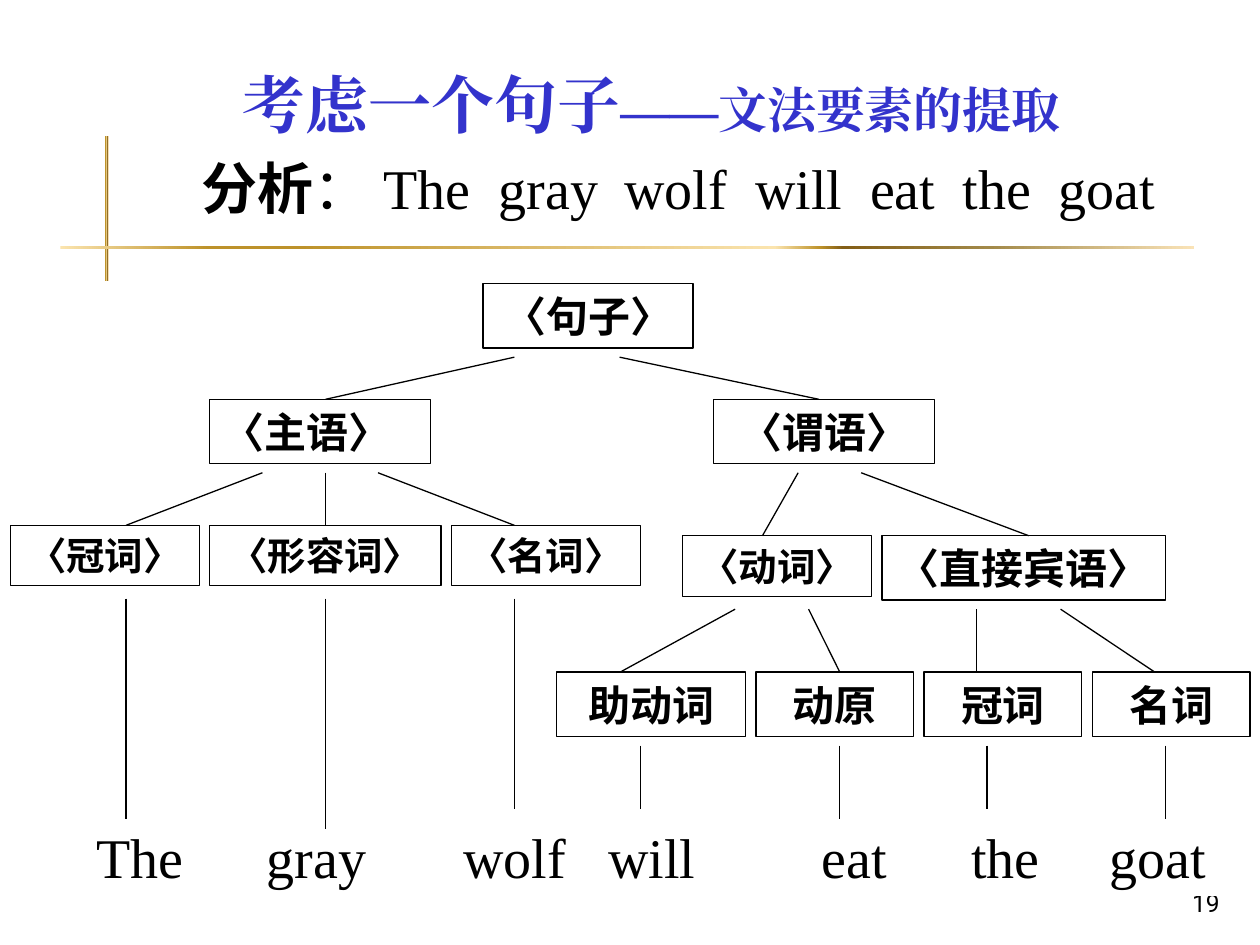
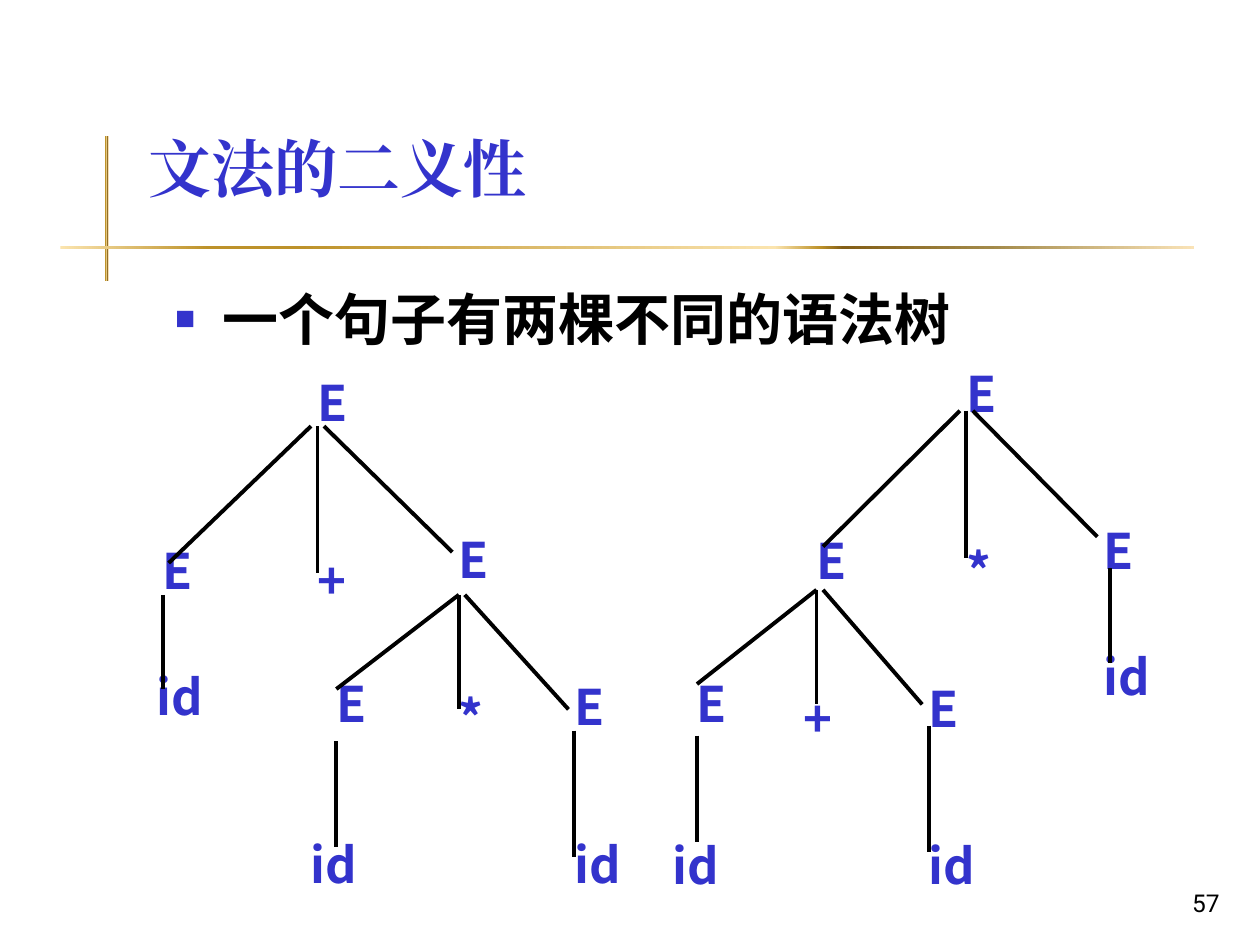
from lxml import etree
from pptx import Presentation
from pptx.dml.color import RGBColor
from pptx.enum.shapes import MSO_CONNECTOR, MSO_SHAPE
from pptx.enum.text import MSO_ANCHOR, PP_ALIGN
from pptx.oxml.ns import qn
from pptx.util import Cm, Pt

RECT, LINE = MSO_SHAPE.RECTANGLE, MSO_CONNECTOR.STRAIGHT
LEFT, MID, RIGHT = PP_ALIGN.LEFT, PP_ALIGN.CENTER, PP_ALIGN.RIGHT
TOP, CENTER, BOTTOM = MSO_ANCHOR.TOP, MSO_ANCHOR.MIDDLE, MSO_ANCHOR.BOTTOM

# Shared style
BLUE, BLACK, WHITE = "3333CC", "000000", "FFFFFF"
SERIF, SANS = "Times New Roman", "Roboto"
HAN, HAN_SC = "Noto Sans CJK JP", "Noto Sans CJK SC"
GOLD = [(0, "FBE4AE"), (13, "BD922A"), (21, "BD922A"), (63, "FBE4AE"),
        (67, "BD922A"), (69, "835E17"), (82, "A28949"), (100, "FAE3B7")]
BANDS = [(2.11, 2.74, 0.08, 2.92), (1.22, 4.95, 22.86, 0.08)]
GAP = 0.21


def color(code):
    return RGBColor.from_string(code)


def sub(node, tag, **attrs):
    return etree.SubElement(node, qn(tag), **attrs)


# Text
def add_run(para, text, size, font, code=BLACK, bold=False):
    run = para.add_run()
    run.text = text
    run.font.size, run.font.bold, run.font.name = Pt(size), bold, font
    run.font.color.rgb = color(code)
    sub(run._r.get_or_add_rPr(), "a:ea", typeface=font)


def fill_text(frame, runs, align=LEFT, anchor=CENTER, pad=0):
    frame.word_wrap = True
    frame.vertical_anchor = anchor
    frame.margin_top = frame.margin_bottom = Cm(pad)
    para = frame.paragraphs[0]
    para.alignment = align
    for run in runs:
        add_run(para, *run)
    return para


def add_text(slide, area, runs, align=LEFT, anchor=CENTER, pad=0):
    box = slide.shapes.add_textbox(*map(Cm, area))
    return fill_text(box.text_frame, runs, align, anchor, pad)


def set_tabs(para, stops):
    tabs = sub(para._p.get_or_add_pPr(), "a:tabLst")
    for stop in stops:
        sub(tabs, "a:tab", pos=str(Cm(stop)), algn="l")


def set_bullet(para, mark, indent):
    props = para._p.get_or_add_pPr()
    props.set("marL", str(Cm(indent)))
    props.set("indent", str(-Cm(indent)))
    sub(sub(props, "a:buClr"), "a:srgbClr", val=BLUE)
    sub(props, "a:buSzPct", val="60000")
    sub(props, "a:buFont", typeface=SERIF)
    sub(props, "a:buChar", char=mark)


# Shapes
def add_rect(slide, area):
    rect = slide.shapes.add_shape(RECT, *map(Cm, area))
    rect.shadow.inherit = False
    rect.line.fill.background()
    return rect


def add_node(slide, area, text, size, align=MID):
    node = add_rect(slide, area)
    node.fill.solid()
    node.fill.fore_color.rgb = color(WHITE)
    node.line.color.rgb = color(BLACK)
    node.line.width = Pt(0.75)
    fill_text(node.text_frame, [(text, size, HAN, BLACK, True)], align)


def add_row(slide, x, y, items):
    """Nodes side by side; each item is text, width and size."""
    for text, width, size in items:
        high = 1.3 if size == 24 else 1.22
        add_node(slide, (x, y, width, high), text, size)
        x += width + GAP


def add_words(slide, area, runs, stops):
    rect = add_rect(slide, area)
    rect.fill.solid()
    rect.fill.fore_color.rgb = color(WHITE)
    set_tabs(fill_text(rect.text_frame, runs), stops)


def add_line(slide, ends, width):
    line = slide.shapes.add_connector(LINE, *map(Cm, ends))
    line.line.color.rgb = color(BLACK)
    line.line.width = Pt(width)
    sub(line._element.spPr, "a:effectLst")


def add_fan(slide, top, end, pairs):
    for start, stop in pairs:
        add_line(slide, (start, top, stop, end), 0.75)


def add_band(slide, area):
    band = add_rect(slide, area)
    band.fill.gradient()
    band.fill.gradient_angle = 0
    stops = band._element.spPr.find(qn("a:gradFill")).find(qn("a:gsLst"))
    for old in list(stops):
        stops.remove(old)
    for spot, code in GOLD:
        stop = sub(stops, "a:gs", pos=str(spot * 1000))
        sub(stop, "a:srgbClr", val=code)


def add_slide(deck, area, runs, align, anchor, number):
    slide = deck.slides.add_slide(deck.slide_layouts[5])
    for band in BANDS:
        add_band(slide, band)
    title = slide.shapes.title
    title.left, title.top, title.width, title.height = map(Cm, area)
    runs = [(text, size, SERIF, BLUE, True) for text, size in runs]
    fill_text(title.text_frame, runs, align, anchor, 0.13)
    add_text(slide, (19.56, 17.35, 5.28, 1.27), [(number, 14, SANS)],
             RIGHT, BOTTOM, 0.13)
    return slide


# Sentence tree
def draw_sentence(deck):
    slide = add_slide(deck, (2.34, 0.64, 21.59, 2.34),
                      [("考虑一个句子", 36), ("——文法要素的提取", 28)],
                      MID, BOTTOM, "19")
    words = "The\tgray\twolf\twill\teat\tthe\tgoat"
    add_words(slide, (3.81, 2.97, 19.89, 1.6),
              [("分析", 32, HAN, BLACK, True), ("：", 32, HAN_SC),
               ("\t" + words, 32, SERIF)],
              [3.67, 5.99, 8.53, 11.17, 13.48, 15.35, 17.28])
    add_words(slide, (1.7, 16.46, 23.06, 1.6), [(words, 32, SERIF)],
              [3.43, 7.39, 10.31, 14.61, 17.63, 20.42])

    # Nodes by level
    add_row(slide, 9.74, 5.72, [("〈句子〉", 4.23, 24)])
    add_node(slide, (4.23, 8.05, 4.45, 1.3), "〈主语〉", 24, LEFT)
    add_row(slide, 14.39, 8.05, [("〈谓语〉", 4.45, 24)])
    add_row(slide, 0.21, 10.59, [("〈冠词〉", 3.81, 22), ("〈形容词〉", 4.66, 22),
                                 ("〈名词〉", 3.81, 22)])
    add_row(slide, 13.76, 10.8, [("〈动词〉", 3.81, 22), ("〈直接宾语〉", 5.72, 24)])
    add_row(slide, 11.22, 13.55, [("助动词", 3.81, 24), ("动原", 3.18, 24),
                                  ("冠词", 3.18, 24), ("名词", 3.18, 24)])

    # Branches, then drops to the words
    add_fan(slide, 7.2, 8.05, [(10.37, 6.56), (12.49, 16.51)])
    add_fan(slide, 9.53, 10.59, [(5.29, 2.54), (6.56, 6.56), (7.62, 10.37)])
    add_fan(slide, 9.53, 10.8, [(16.09, 15.37), (17.36, 20.74)])
    add_fan(slide, 12.28, 13.55, [(14.82, 12.5), (16.3, 16.93),
                                  (19.69, 19.69), (21.38, 23.28)])
    for x, top, end in [(2.54, 12.07, 16.51), (6.56, 12.07, 16.72),
                        (10.37, 12.07, 16.3), (12.91, 15.03, 16.3),
                        (16.93, 15.03, 16.51), (19.9, 15.03, 16.3),
                        (23.5, 15.03, 16.51)]:
        add_line(slide, (x, top, x, end), 0.75)


# Two parse trees
SUM_MARKS = [("E", 6.15, 7.32), ("E", 3.02, 10.72), ("+", 6.15, 10.92),
             ("E", 8.99, 10.49), ("id", 2.9, 13.26), ("E", 6.53, 13.39),
             ("*", 8.99, 13.67), ("E", 11.33, 13.46), ("id", 6.02, 16.64),
             ("id", 11.33, 16.64)]
SUM_LINES = [(6.27, 8.59, 3.4, 11.35), (6.4, 8.59, 6.4, 11.56),
             (6.53, 8.59, 9.12, 11.13), (3.28, 11.99, 3.28, 13.89),
             (9.25, 11.99, 6.78, 13.89), (9.25, 11.99, 9.25, 14.3),
             (9.37, 11.99, 11.46, 14.3), (6.78, 14.94, 6.78, 17.07),
             (11.58, 14.73, 11.58, 17.27)]
MUL_MARKS = [("E", 19.23, 7.14), ("E", 16.21, 10.52), ("*", 19.23, 10.72),
             ("E", 22, 10.31), ("id", 22, 12.85), ("E", 13.79, 13.39),
             ("+", 15.95, 13.69), ("E", 18.47, 13.49), ("id", 13.31, 16.66),
             ("id", 18.47, 16.66)]
MUL_LINES = [(19.35, 8.28, 16.59, 11.02), (19.48, 8.28, 19.48, 11.25),
             (19.61, 8.28, 22.12, 10.82), (22.38, 11.46, 22.38, 13.36),
             (16.46, 11.89, 14.05, 13.79), (16.46, 11.89, 16.46, 14.2),
             (16.59, 11.89, 18.59, 14.2), (14.05, 14.83, 14.05, 16.97),
             (18.72, 14.63, 18.72, 17.17)]


def draw_tree(slide, marks, lines):
    for text, x, y in marks:
        add_text(slide, (x, y, 1.93, 1.55), [(text, 28, HAN_SC, BLUE, True)])
    for ends in lines:
        add_line(slide, ends, 2.25)


def draw_parse(deck):
    slide = add_slide(deck, (2.74, 2.31, 22.66, 2.13), [("文法的二义性", 36)],
                      LEFT, CENTER, "57")
    para = add_text(slide, (3.28, 5.61, 21.59, 2.13),
                    [("一个句子有两棵不同的语法树", 32, SANS, BLACK, True)],
                    LEFT, TOP, 0.13)
    set_bullet(para, "■", 0.95)
    draw_tree(slide, SUM_MARKS, SUM_LINES)
    draw_tree(slide, MUL_MARKS, MUL_LINES)


def main():
    deck = Presentation()
    deck.slide_width, deck.slide_height = Cm(25.4), Cm(19.05)
    draw_sentence(deck)
    draw_parse(deck)
    deck.save("out.pptx")


if __name__ == "__main__":
    main()
